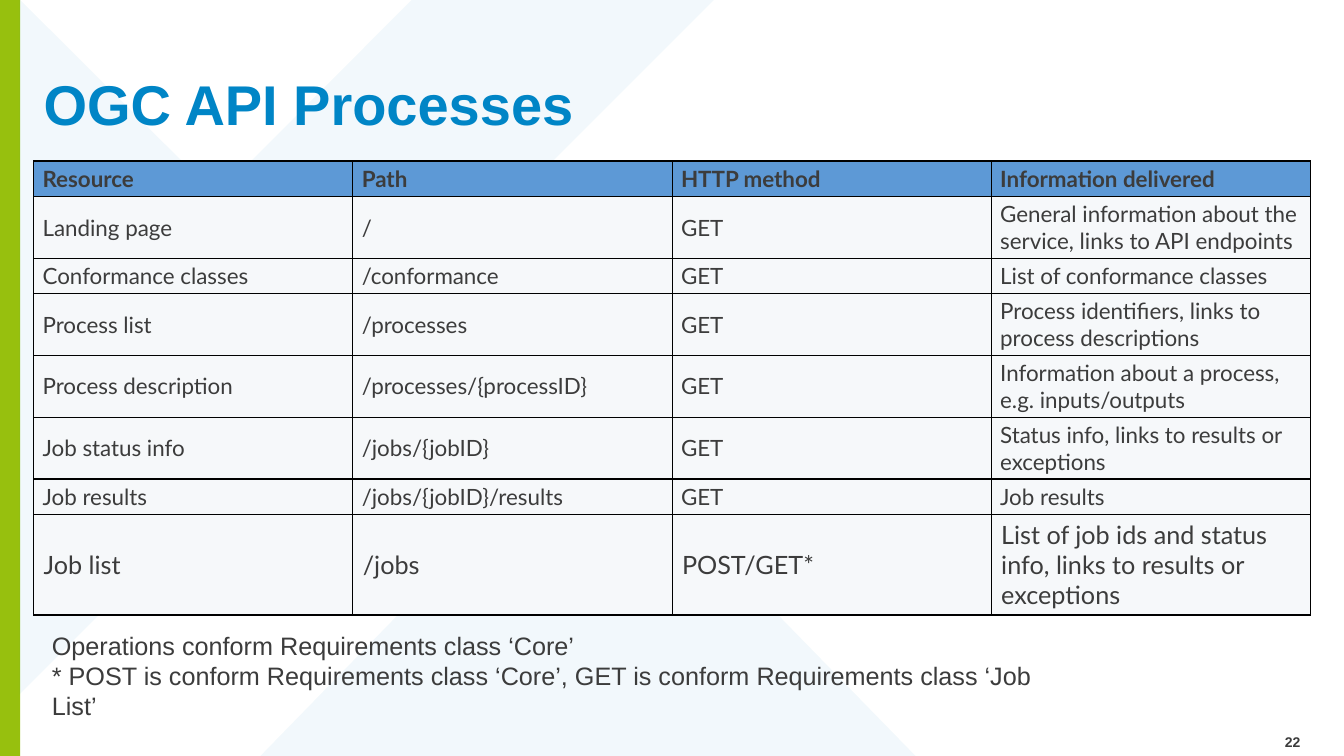
from pptx import Presentation, util as u
from pptx.dml.color import RGBColor
from pptx.enum import shapes, text
from pptx.oxml import parse_xml
from pptx.oxml.ns import nsdecls, qn
from lxml import etree

COLS, ROWS = 160, 90  # grid over the slide, each unit 1/12 inch
BLUE, GREEN, GREY, BLACK = "0085C6", "97C00E", "3C3C3C", "000000"
HEAD_FILL, BODY_FILL = "5D99D6", "F6F8FA"

TABLE = [
    ("Resource", "Path", "HTTP method", "Information delivered"),
    ("Landing page", "/", "GET",
     "General information about the service, links to API endpoints"),
    ("Conformance classes", "/conformance", "GET", "List of conformance classes"),
    ("Process list", "/processes", "GET",
     "Process identifiers, links to process descriptions"),
    ("Process description", "/processes/{processID}", "GET",
     "Information about a process, e.g. inputs/outputs"),
    ("Job status info", "/jobs/{jobID}", "GET",
     "Status info, links to results or exceptions"),
    ("Job results", "/jobs/{jobID}/results", "GET", "Job results"),
    ("Job list", "/jobs", "POST/GET*",
     "List of job ids and status info, links to results or exceptions"),
]
ROW_HEIGHTS = [4.2, 7.3, 4.2, 7.3, 7.3, 7.3, 4.2, 4.2]


def rgb(color):
    return RGBColor.from_string(color)


class Deck:
    def __init__(self, font="Arial"):
        self.prs = Presentation()
        self.prs.slide_width, self.prs.slide_height = u.Inches(13.33), u.Inches(7.5)
        self.font = font
        self.s = self.prs.slides.add_slide(self.prs.slide_layouts[5])

    def x(self, cols):
        return round(self.prs.slide_width * cols / COLS)

    def y(self, rows):
        return round(self.prs.slide_height * rows / ROWS)

    def box(self, left, top, width, height):
        return self.x(left), self.y(top), self.x(width), self.y(height)

    def paint(self, sp, color, alpha=None):
        sp.shadow.inherit = False
        sp.fill.solid()
        sp.fill.fore_color.rgb = rgb(color)
        sp.line.fill.background()
        if alpha:
            clr = sp.fill._xPr.find(qn("a:solidFill"))[0]
            etree.SubElement(clr, qn("a:alpha")).set("val", str(alpha * 1000))

    def shape(self, kind, at, color, alpha=None):
        self.paint(self.s.shapes.add_shape(kind, *self.box(*at)), color, alpha)

    def polygon(self, points, color, alpha=None):
        pts = [(self.x(a), self.y(b)) for a, b in points]
        fb = self.s.shapes.build_freeform(*pts[0])
        fb.add_line_segments(pts[1:], close=True)
        self.paint(fb.convert_to_shape(), color, alpha)

    def run(self, p, words, size, color=GREY, bold=False, font=None):
        r = p.add_run()
        r.text = words
        r.font.name, r.font.size = font or self.font, u.Pt(size)
        r.font.bold, r.font.color.rgb = bold, rgb(color)

    def title(self, words, at):
        sp = self.s.shapes.title
        sp.left, sp.top, sp.width, sp.height = self.box(*at)
        sp.element.getparent().append(sp.element)  # in front of the backdrop
        tf = sp.text_frame
        tf.vertical_anchor, tf.word_wrap = text.MSO_ANCHOR.BOTTOM, True
        p = tf.paragraphs[0]
        p.alignment, p.line_spacing = text.PP_ALIGN.LEFT, 0.8
        self.run(p, words, 40, BLUE, True)

    def text(self, lines, at, size, bold=False, align=text.PP_ALIGN.LEFT,
             anchor=text.MSO_ANCHOR.TOP, grow=False):
        tf = self.s.shapes.add_textbox(*self.box(*at)).text_frame
        tf.word_wrap, tf.vertical_anchor = True, anchor
        if grow:
            tf.auto_size = text.MSO_AUTO_SIZE.SHAPE_TO_FIT_TEXT
        for i, line in enumerate(lines):
            p = tf.add_paragraph() if i else tf.paragraphs[0]
            p.alignment = align
            self.run(p, line, size, bold=bold)

    def borders(self, cell, top, bottom):
        tcPr = cell._tc.get_or_add_tcPr()
        for side, width in (("L", 0.75), ("R", 0.75), ("T", top), ("B", bottom)):
            tcPr.append(parse_xml(
                f'<a:ln{side} {nsdecls("a")} w="{u.Pt(width)}"><a:solidFill>'
                f'<a:srgbClr val="{BLACK}"/></a:solidFill></a:ln{side}>'))

    def table(self, rows, heights, at, font):
        left, top, width = at
        last = len(rows) - 1
        frame = self.s.shapes.add_table(len(rows), len(rows[0]),
                                        *self.box(left, top, width, sum(heights)))
        tbl = frame.table
        for col in tbl.columns:
            col.width = self.x(width / len(rows[0]))
        for i, (words, height) in enumerate(zip(rows, heights)):
            tbl.rows[i].height = self.y(height)
            for j, word in enumerate(words):
                cell = tbl.cell(i, j)
                cell.vertical_anchor = text.MSO_ANCHOR.MIDDLE
                if i < last:
                    cell.margin_left = cell.margin_right = u.Inches(0.09)
                    cell.margin_top = cell.margin_bottom = u.Inches(0.04)
                self.borders(cell, 1.5 if i < 2 else 1, 1.5 if i in (0, last) else 1)
                cell.fill.solid()
                cell.fill.fore_color.rgb = rgb(BODY_FILL if i else HEAD_FILL)
                self.run(cell.text_frame.paragraphs[0], word,
                         18 if i == last else 16, bold=i == 0, font=font)


def main():
    d = Deck()
    # Backdrop: side bar and pale angular shapes
    d.shape(shapes.MSO_SHAPE.RECTANGLE, (0, 0, 2.4, ROWS), GREEN)
    d.polygon([(85, 0), (49, 0), (25.8, 23.3), (2.4, 0), (2.3, 0), (2.3, 82.7)],
              BLUE, alpha=5)
    d.shape(shapes.MSO_SHAPE.ISOSCELES_TRIANGLE, (31, 50, 78, 40), BLUE, alpha=5)
    # Title and page number
    d.title("OGC API Processes", (4, 0, 128.4, 16.8))
    d.text(["22"], (146, 87.1, 10, 2.4), 10, bold=True,
           align=text.PP_ALIGN.RIGHT, anchor=text.MSO_ANCHOR.MIDDLE)
    # Resource table
    d.table(TABLE, ROW_HEIGHTS, (4, 19.2, 152), "Lato")
    # Notes under the table
    d.text(["Operations conform Requirements class ‘Core’",
            "* POST is conform Requirements class ‘Core’, GET is conform "
            "Requirements class ‘Job List’"],
           (5, 74.4, 119.5, 8.5), 18, grow=True)
    d.prs.save("out.pptx")


if __name__ == "__main__":
    main()
